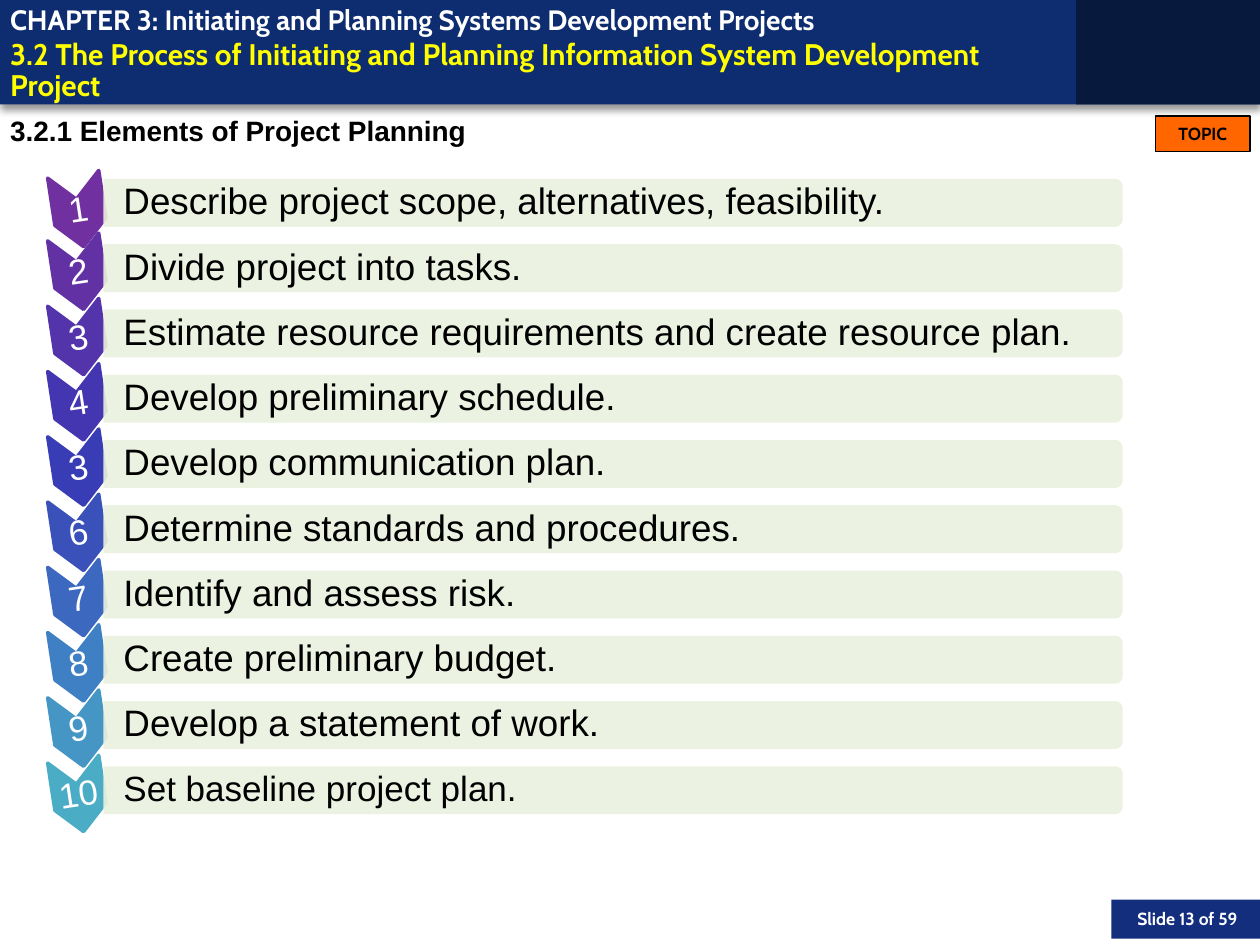
from math import cos, pi, sin

from lxml.etree import SubElement
from pptx import Presentation
from pptx.dml.color import RGBColor
from pptx.enum.shapes import MSO_SHAPE
from pptx.enum.text import MSO_ANCHOR, MSO_AUTO_SIZE, PP_ALIGN
from pptx.oxml.ns import qn
from pptx.util import Inches, Pt

WHITE = RGBColor(0xFF, 0xFF, 0xFF)
BLACK = RGBColor(0x00, 0x00, 0x00)
YELLOW = RGBColor(0xFF, 0xFF, 0x00)
ORANGE = RGBColor(0xFF, 0x66, 0x00)
HEADER = RGBColor(0x0E, 0x2C, 0x70)
CORNER = RGBColor(0x08, 0x19, 0x3E)
FOOTER = RGBColor(0x12, 0x2E, 0x7C)
PALE_GREEN = RGBColor(0xEB, 0xF1, 0xDE)

ELEMENTS = [
    ("1", "Describe project scope, alternatives, feasibility.", RGBColor(0x70, 0x30, 0xA0)),
    ("2", "Divide project into tasks.", RGBColor(0x62, 0x32, 0xA5)),
    ("3", "Estimate resource requirements and create resource plan.", RGBColor(0x54, 0x34, 0xAB)),
    ("4", "Develop preliminary schedule.", RGBColor(0x44, 0x36, 0xB0)),
    ("3", "Develop communication plan.", RGBColor(0x38, 0x3C, 0xB5)),
    ("6", "Determine standards and procedures.", RGBColor(0x3A, 0x51, 0xBA)),
    ("7", "Identify and assess risk.", RGBColor(0x3C, 0x68, 0xC0)),
    ("8", "Create preliminary budget.", RGBColor(0x3F, 0x7F, 0xC3)),
    ("9", "Develop a statement of work.", RGBColor(0x45, 0x96, 0xC5)),
    ("10", "Set baseline project plan.", RGBColor(0x4B, 0xAC, 0xC6)),
]


def write(sp, text, size, font, color, bold=False, align=PP_ALIGN.LEFT,
          anchor=MSO_ANCHOR.TOP, insets=(0.08, 0, 0.08, 0), spacing=1.0):
    tf = sp.text_frame
    tf.word_wrap = True
    tf.auto_size = MSO_AUTO_SIZE.NONE
    tf.vertical_anchor = anchor
    (tf.margin_left, tf.margin_top,
     tf.margin_right, tf.margin_bottom) = [Inches(v) for v in insets]
    p = tf.paragraphs[0]
    p.alignment = align
    p.line_spacing = spacing
    p.space_before = Pt(0)
    r = p.add_run()
    r.text = text
    r.font.size = Pt(size)
    r.font.name = font
    r.font.bold = bold
    r.font.color.rgb = color


def add_outline(points, left, top, fill):
    """Add a closed polygon; points are inches from its top-left corner."""
    units = [(x * 1000, y * 1000) for x, y in points]
    builder = s.shapes.build_freeform(*units[0], scale=Inches(1) / 1000)
    builder.add_line_segments(units[1:], close=True)
    sp = builder.convert_to_shape(Inches(left), Inches(top))
    sp.left, sp.top = Inches(left), Inches(top)
    sp.shadow.inherit = False
    sp.fill.solid()
    sp.fill.fore_color.rgb = fill
    sp.line.fill.background()
    return sp


prs = Presentation()
prs.slide_width, prs.slide_height = Inches(10), Inches(7.5)
s = prs.slides.add_slide(prs.slide_layouts[5])

# Header, corner, footer and topic button
blocks = []
for box, fill in [
    ((0, 0, 10, 0.83), HEADER),
    ((8.54, 0, 1.46, 0.83), CORNER),
    ((8.82, 7.14, 1.18, 0.31), FOOTER),
    ((9.17, 0.92, 0.75, 0.28), ORANGE),
]:
    sp = s.shapes.add_shape(MSO_SHAPE.RECTANGLE, *[Inches(v) for v in box])
    sp.shadow.inherit = False
    sp.fill.solid()
    sp.fill.fore_color.rgb = fill
    sp.line.fill.background()
    blocks.append(sp)
header, corner, footer, topic = blocks

effects = header._element.spPr.find(qn("a:effectLst"))
shadow = SubElement(effects, qn("a:outerShdw"), blurRad=str(Pt(4)), dist=str(Pt(3)),
                    dir="5400000", algn="t", rotWithShape="0")
shadow_color = SubElement(shadow, qn("a:srgbClr"), val="000000")
SubElement(shadow_color, qn("a:alpha"), val="40000")

topic.line.color.rgb = BLACK
topic.line.width = Pt(0.75)
write(topic, "TOPIC", 10, "Cabin", BLACK, True, PP_ALIGN.CENTER, MSO_ANCHOR.MIDDLE)

page = s.shapes.add_textbox(Inches(8.62), Inches(7.14), Inches(1.3), Inches(0.25))
write(page, "Slide 13 of 59", 10, "Cabin", WHITE, True, PP_ALIGN.RIGHT,
      MSO_ANCHOR.MIDDLE, (0.1, 0.05, 0.1, 0))

chapter = s.shapes.add_textbox(0, Inches(0.02), Inches(8.46), Inches(0.27))
write(chapter, "CHAPTER 3: Initiating and Planning Systems Development Projects",
      16, "Cabin", WHITE, True)

title = s.shapes.title
title.left, title.top, title.width, title.height = 0, Inches(0.29), Inches(8.46), Inches(0.55)
write(title, "3.2 The Process of Initiating and Planning Information System Development Project",
      17, "Cabin", YELLOW, True, anchor=MSO_ANCHOR.MIDDLE, spacing=Pt(18))
s.shapes._spTree.append(title._element)  # in front of the header

# Numbered chevrons, each with a bar rounded on its right side
CHEVRON = [(0, 0), (0.2, 0.2), (0.41, 0), (0.41, 0.38), (0.2, 0.58), (0, 0.38)]
BAR_W, BAR_H, RADIUS = 8.09, 0.38, 0.06
quarter = [i * pi / 12 for i in range(7)]
BAR = ([(0, 0)]
       + [(BAR_W - RADIUS + RADIUS * sin(a), RADIUS - RADIUS * cos(a)) for a in quarter]
       + [(BAR_W - RADIUS + RADIUS * cos(a), BAR_H - RADIUS + RADIUS * sin(a)) for a in quarter]
       + [(0, BAR_H)])
FIRST_ROW, ROW = 1.42, 0.518

for i, (number, text, color) in enumerate(ELEMENTS):
    top = FIRST_ROW + i * ROW
    chevron = add_outline(CHEVRON, 0.42, top - (0.06 if i else 0.04), color)
    chevron.rotation = 351.3
    chevron.line.color.rgb = color
    chevron.line.width = Pt(2)
    write(chevron, number, 20, "Arial", WHITE, False, PP_ALIGN.CENTER,
          MSO_ANCHOR.MIDDLE, (0.01, 0.22, 0.01, 0.22), 0.9)

    bar = add_outline(BAR, 0.82, top, PALE_GREEN)
    bar_color = bar._element.spPr.find(qn("a:solidFill"))[0]
    SubElement(bar_color, qn("a:alpha"), val="90000")
    write(bar, text, 20 if number == "10" else 21, "Arial", BLACK,
          anchor=MSO_ANCHOR.MIDDLE, insets=(0.16, 0.03, 0.03, 0.03), spacing=0.9)

subtitle = s.shapes.add_textbox(0, Inches(0.92), Inches(10), Inches(0.35))
write(subtitle, "3.2.1 Elements of Project Planning", 16, "Arial", BLACK, True, spacing=Pt(18))

prs.save("out.pptx")
